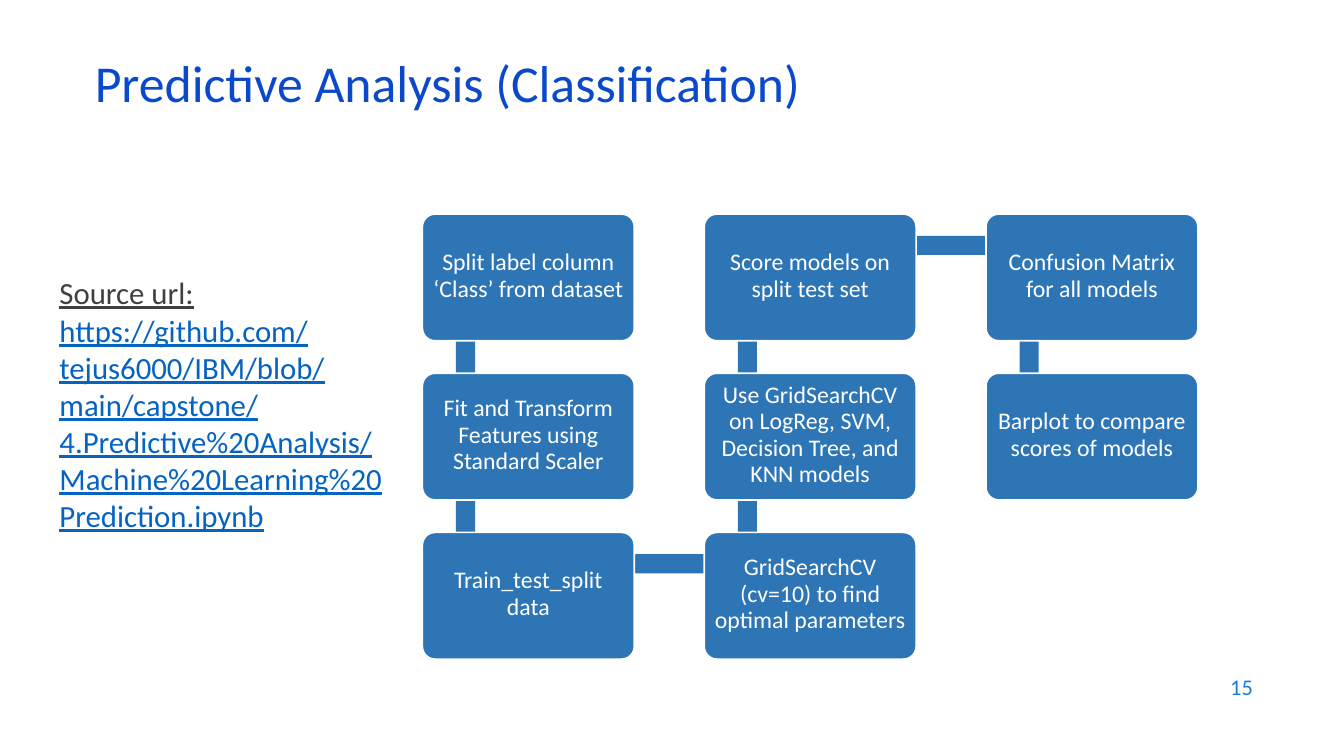
"""Build the predictive analysis slide with its snaking model workflow."""
from itertools import pairwise

from lxml import etree
from pptx import Presentation
from pptx.dml.color import RGBColor
from pptx.enum.shapes import MSO_SHAPE
from pptx.enum.text import MSO_ANCHOR, MSO_AUTO_SIZE, PP_ALIGN
from pptx.oxml.ns import qn
from pptx.util import Pt

FONT = "Calibri"
TITLE = RGBColor(0x0B, 0x49, 0xCB)
BLUE = RGBColor(0x2E, 0x75, 0xB6)
WHITE = RGBColor(0xFF, 0xFF, 0xFF)
GREY = RGBColor(0x40, 0x40, 0x40)
LINK = RGBColor(0x05, 0x63, 0xC1)
PAGE = RGBColor(0x1C, 0x7D, 0xDB)

LEFT, TOP = 301.7, 152.9
WIDE, HIGH = 151.4, 90.5
STEP_X, STEP_Y = 201.3, 113.7
BAR = 13.7

STEPS = [
    (0, 0, "Split label column\v‘Class’ from dataset"),
    (0, 1, "Fit and Transform\vFeatures using\vStandard Scaler"),
    (0, 2, "Train_test_split\vdata"),
    (1, 2, "GridSearchCV\v(cv=10) to find\voptimal parameters"),
    (1, 1, "Use GridSearchCV\von LogReg, SVM,\vDecision Tree, and\vKNN models"),
    (1, 0, "Score models on\vsplit test set"),
    (2, 0, "Confusion Matrix\vfor all models"),
    (2, 1, "Barplot to compare\vscores of models"),
]
URL = ("https://github.com/tejus6000/IBM/blob/main/capstone/"
       "4.Predictive%20Analysis/Machine%20Learning%20Prediction.ipynb")


def place(shape, left, top, width, height):
    """Move and size a shape in points."""
    shape.left, shape.top = Pt(left), Pt(top)
    shape.width, shape.height = Pt(width), Pt(height)


def style(para, size, color, align=PP_ALIGN.LEFT, under=False):
    """Format a paragraph and its runs."""
    para.alignment = align
    para.space_before = Pt(0)
    for run in para.runs:
        font = run.font
        font.name, font.size, font.underline = FONT, Pt(size), under
        font.color.rgb = color


def corner(col, row):
    """Return the top left point of a grid cell."""
    return LEFT + col * STEP_X, TOP + row * STEP_Y


def block(slide, kind, left, top, width, height):
    """Add a plain blue shape."""
    shape = slide.shapes.add_shape(kind, Pt(left), Pt(top), Pt(width), Pt(height))
    shape.shadow.inherit = False
    shape.fill.solid()
    shape.fill.fore_color.rgb = BLUE
    shape.line.fill.background()
    return shape


def add_bar(slide, start, end):
    """Join two neighbouring steps with a bar."""
    left, top = corner(min(start[0], end[0]), min(start[1], end[1]))
    if start[0] == end[0]:
        block(slide, MSO_SHAPE.RECTANGLE, left + 24, top + 23, BAR, STEP_Y)
    else:
        block(slide, MSO_SHAPE.RECTANGLE, left + 31, top + 15.5, STEP_X, BAR)


def add_step(slide, col, row, text):
    """Add a rounded step with centred text."""
    shape = block(slide, MSO_SHAPE.ROUNDED_RECTANGLE, *corner(col, row), WIDE, HIGH)
    shape.adjustments[0] = 0.1
    shape.line.color.rgb = WHITE
    shape.line.width = Pt(1.2)
    frame = shape.text_frame
    frame.margin_left = frame.margin_right = frame.margin_top = 0
    frame.margin_bottom = Pt(3)
    frame.vertical_anchor = MSO_ANCHOR.MIDDLE
    frame.text = text
    para = frame.paragraphs[0]
    style(para, 17, WHITE, PP_ALIGN.CENTER)
    para.line_spacing = Pt(19)


def add_title(slide):
    """Fill the title placeholder."""
    title = slide.shapes.title
    place(title, 60.5, 42.5, 828, 43)
    frame = title.text_frame
    frame.text = "Predictive Analysis (Classification)"
    frame.auto_size = MSO_AUTO_SIZE.NONE
    frame.vertical_anchor = MSO_ANCHOR.MIDDLE
    style(frame.paragraphs[0], 37, TITLE)
    frame.paragraphs[0].line_spacing = 0.7


def add_source(slide):
    """Fill the body placeholder with the notebook address."""
    body = slide.placeholders[1]
    place(body, 42.5, 194.4, 241, 192)
    frame = body.text_frame
    frame.text = f"Source url:\n{URL}"
    frame.auto_size = MSO_AUTO_SIZE.NONE
    frame.margin_left = frame.margin_right = 0
    frame.margin_top = frame.margin_bottom = Pt(1)
    for para, color in zip(frame.paragraphs, (GREY, LINK)):
        props = para._p.get_or_add_pPr()
        props.set("marL", "0")
        props.set("indent", "0")
        etree.SubElement(props, qn("a:buNone"))
        style(para, 22, color, under=True)
    frame.paragraphs[1].space_before = Pt(1.1)


def add_page(slide):
    """Add the page number."""
    box = slide.shapes.add_textbox(Pt(686), Pt(474.5), Pt(216), Pt(32))
    frame = box.text_frame
    frame.word_wrap = True
    frame.vertical_anchor = MSO_ANCHOR.MIDDLE
    frame.text = "15"
    style(frame.paragraphs[0], 16, PAGE, PP_ALIGN.RIGHT)


def main():
    """Build and save the slide."""
    deck = Presentation()
    deck.slide_width, deck.slide_height = Pt(960), Pt(540)
    slide = deck.slides.add_slide(deck.slide_layouts[1])
    add_title(slide)
    add_source(slide)
    for start, end in pairwise(STEPS):
        add_bar(slide, start, end)
    for step in STEPS:
        add_step(slide, *step)
    add_page(slide)
    deck.save("out.pptx")


if __name__ == "__main__":
    main()
